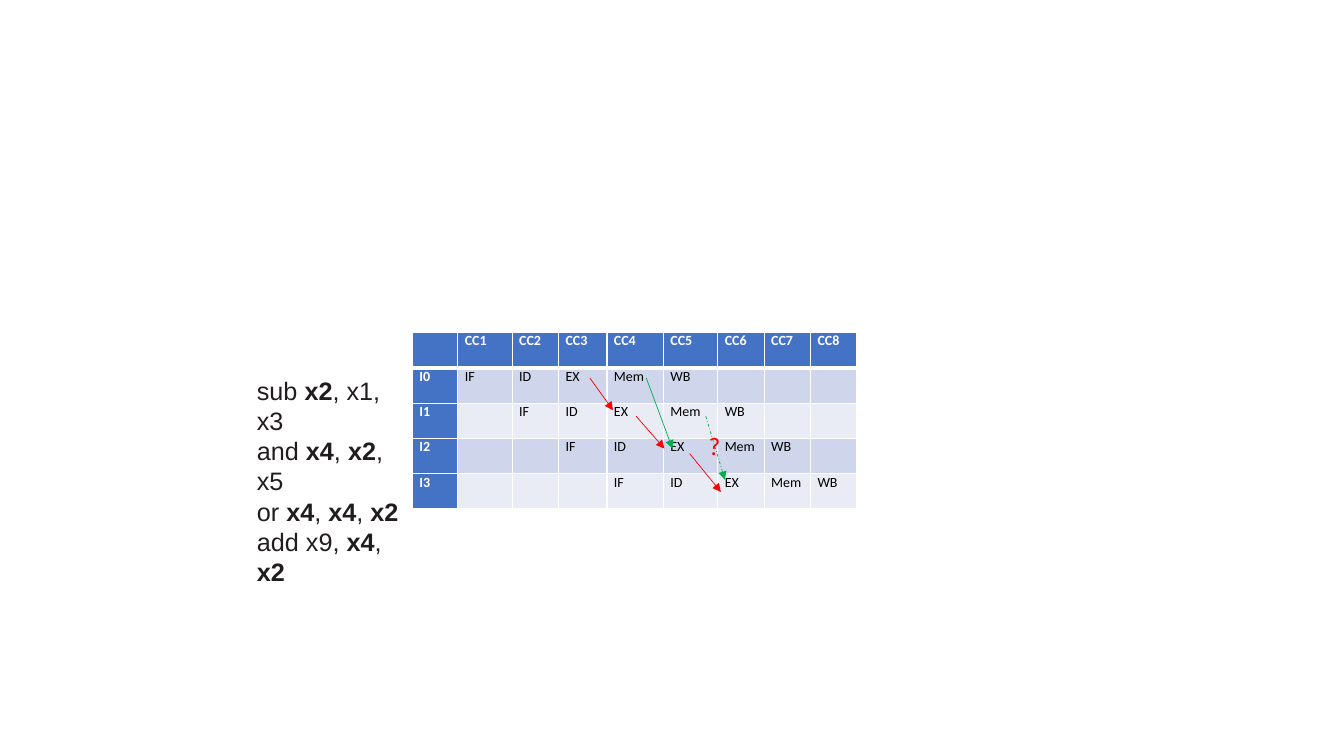
import pptx
import pptx.util
import pptx.dml.color
import pptx.enum.dml
import pptx.enum.shapes
import pptx.enum.text
import pptx.oxml
import pptx.oxml.ns

RGB = pptx.dml.color.RGBColor
WHITE = RGB(0xFF, 0xFF, 0xFF)
BLACK = RGB(0, 0, 0)
BLUE = RGB(0x44, 0x72, 0xC4)
BANDS = [RGB(0xCF, 0xD5, 0xEA), RGB(0xE9, 0xEB, 0xF5)]
INK = RGB(0x21, 0x1D, 0x1E)
RED = RGB(0xFF, 0, 0)
GREEN = RGB(0, 0xB0, 0x50)
PX = 9144  # 100 px to the inch
NS = pptx.oxml.ns.nsdecls("a")


def style(run, color, **form):
    run.font.color.rgb = color
    for key, val in form.items():
        setattr(run.font, key, val)


def box(x, y, w, h):
    frame = slide.shapes.add_textbox(x * PX, y * PX, w * PX, h * PX).text_frame
    frame.word_wrap = True
    frame.auto_size = pptx.enum.text.MSO_AUTO_SIZE.SHAPE_TO_FIT_TEXT
    return frame


deck = pptx.Presentation()
deck.slide_width, deck.slide_height = 1333 * PX, 750 * PX
slide = deck.slides.add_slide(deck.slide_layouts[6])

# Pipeline table: each instruction starts one cycle after the last
widths = [45, 54, 46, 48, 56, 54, 46, 46, 46]
stages = ["IF", "ID", "EX", "Mem", "WB"]
rows = [[""] + [f"CC{n}" for n in range(1, 9)]]
for n in range(4):
    rows.append([f"I{n}"] + [""] * n + stages + [""] * (3 - n))

grid = slide.shapes.add_table(5, 9, 409 * PX, 330 * PX, sum(widths) * PX, 175 * PX).table
grid.first_col = True
for col, width in zip(grid.columns, widths):
    col.width = width * PX
inset = {"margin_left": 7 * PX, "margin_right": 7 * PX, "margin_top": 0, "margin_bottom": 0}
for r, row in enumerate(rows):
    grid.rows[r].height = 35 * PX
    for c, word in enumerate(row):
        cell = grid.cell(r, c)
        head = r == 0 or c == 0
        for key, val in inset.items():
            setattr(cell, key, val)
        cell.fill.solid()
        cell.fill.fore_color.rgb = BLUE if head else BANDS[(r - 1) % 2]
        para = cell.text_frame.paragraphs[0]
        para.alignment = pptx.enum.text.PP_ALIGN.JUSTIFY
        if word:
            run = para.add_run()
            run.text = word
            style(run, WHITE if head else BLACK, name="Calibri", size=pptx.util.Pt(10), bold=head)
        # White borders, thicker under the header row
        for i, side in enumerate("LRTB"):
            thick = (r, side) in [(0, "B"), (1, "T")]
            edge = pptx.oxml.parse_xml(
                f'<a:ln{side} {NS} w="{38100 if thick else 12700}"><a:solidFill>'
                f'<a:srgbClr val="{WHITE}"/></a:solidFill></a:ln{side}>')
            cell._tc.get_or_add_tcPr().insert(i, edge)

# Instructions, registers in bold between stars
code = ["sub *x2*, x1, x3", "and *x4*, *x2*, x5", "or *x4*, *x4*, *x2*", "add x9, *x4*, *x2*"]
frame = box(245, 367, 164, 131)
for n, line in enumerate(code):
    para = frame.add_paragraph() if n else frame.paragraphs[0]
    for i, part in enumerate(line.split("*")):
        if part:
            run = para.add_run()
            run.text = part
            style(run, INK, name="Arial", size=pptx.util.Pt(18), bold=i % 2 == 1)

# Forwarding arrows
DASH = pptx.enum.dml.MSO_LINE.DASH_DOT
arrows = [
    (585, 375, 608, 407, RED, None),
    (641, 375, 667, 445, GREEN, None),
    (631, 413, 659, 445, RED, None),
    (684, 450, 715, 488, RED, None),
    (700, 413, 719, 476, GREEN, DASH),
]
for x1, y1, x2, y2, color, dash in arrows:
    link = slide.shapes.add_connector(
        pptx.enum.shapes.MSO_CONNECTOR.STRAIGHT, x1 * PX, y1 * PX, x2 * PX, y2 * PX)
    link.line.color.rgb = color
    link.line.width = pptx.util.Pt(0.5)
    if dash:
        link.line.dash_style = dash
    link.line._get_or_add_ln().append(pptx.oxml.parse_xml(f'<a:tailEnd {NS} type="triangle"/>'))
    link._element.spPr.append(pptx.oxml.parse_xml(f"<a:effectLst {NS}/>"))

# Open question on the dashed arrow
run = box(693, 422, 44, 40).paragraphs[0].add_run()
run.text = "?"
style(run, RED, name="Calibri", size=pptx.util.Pt(18))

deck.save("out.pptx")
